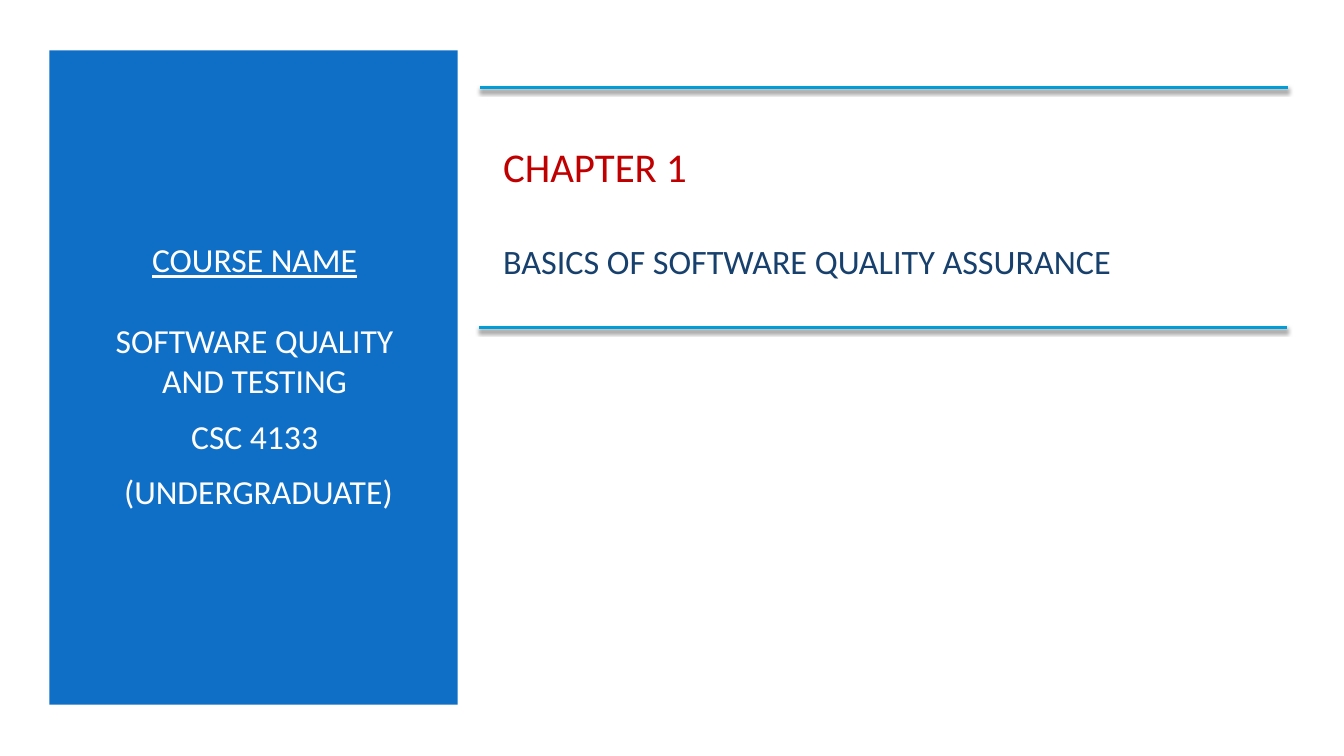
import copy
from dataclasses import dataclass

import pptx
import pptx.dml.color
import pptx.enum.shapes
import pptx.enum.text
import pptx.oxml
import pptx.oxml.ns
import pptx.util

Inches = pptx.util.Inches
Pt = pptx.util.Pt
qn = pptx.oxml.ns.qn
Align = pptx.enum.text.PP_ALIGN


@dataclass(frozen=True)
class Theme:
    font: str = "Calibri"
    white: str = "FFFFFF"
    blue: str = "0F6FC6"
    cyan: str = "009DD9"
    red: str = "C00000"
    navy: str = "17406D"
    course: float = 24
    chapter: float = 29.2
    topic: float = 24.4
    rule: float = 2


SHADOW = (
    '<a:effectLst xmlns:a="http://schemas.openxmlformats.org/drawingml/2006/main">'
    f'<a:outerShdw blurRad="{Pt(3)}" dist="{Pt(2)}" dir="5400000" rotWithShape="0">'
    '<a:srgbClr val="000000"><a:alpha val="55000"/></a:srgbClr>'
    "</a:outerShdw></a:effectLst>"
)


def rgb(code):
    return pptx.dml.color.RGBColor.from_string(code)


class Page:
    def __init__(self, slide, theme):
        self.slide = slide
        self.theme = theme
        fill = slide.background.fill
        fill.solid()
        fill.fore_color.rgb = rgb(theme.white)

    def panel(self, left, top, width, height):
        kind = pptx.enum.shapes.MSO_SHAPE.RECTANGLE
        box = self.slide.shapes.add_shape(
            kind, Inches(left), Inches(top), Inches(width), Inches(height))
        box.shadow.inherit = False
        box.fill.solid()
        box.fill.fore_color.rgb = rgb(self.theme.blue)
        box.line.fill.background()
        # Put the panel behind the placeholders
        self.slide.shapes._spTree.insert(2, box._element)

    def text(self, holder, place, lines, align):
        holder.left, holder.top, holder.width, holder.height = map(Inches, place)
        frame = holder.text_frame
        frame.text = "\n".join(lines)
        frame.word_wrap = True
        frame.auto_size = pptx.enum.text.MSO_AUTO_SIZE.NONE
        frame.vertical_anchor = pptx.enum.text.MSO_ANCHOR.MIDDLE
        for para in frame.paragraphs:
            para.alignment = align
        return frame.paragraphs

    def style(self, run, size, color, under=False):
        font = run.font
        font.name = self.theme.font
        font.size = Pt(size)
        font.color.rgb = rgb(color)
        font.underline = under

    def breaks(self, para):
        # Line breaks take the height of the first run
        look = para.runs[0]._r.rPr
        for mark in para._p.findall(qn("a:br")):
            mark.insert(0, copy.deepcopy(look))

    def rule(self, left, top, width):
        kind = pptx.enum.shapes.MSO_CONNECTOR.STRAIGHT
        line = self.slide.shapes.add_connector(
            kind, Inches(left), Inches(top), Inches(left + width), Inches(top))
        line.line.color.rgb = rgb(self.theme.cyan)
        line.line.width = Pt(self.theme.rule)
        line._element.spPr.append(pptx.oxml.parse_xml(SHADOW))


def main():
    deck = pptx.Presentation()
    deck.slide_width = Inches(13.33)
    deck.slide_height = Inches(7.5)
    theme = Theme()
    page = Page(deck.slides.add_slide(deck.slide_layouts[0]), theme)
    title, body = page.slide.placeholders

    # Course panel
    page.panel(0.49, 0.5, 4.05, 6.49)
    course = ["COURSE NAME\v\vSOFTWARE QUALITY AND TESTING",
              "CSC 4133", " (UNDERGRADUATE)"]
    paras = page.text(body, (0.84, 1.1, 3.37, 5.25), course, Align.CENTER)
    for para in paras:
        para.space_before = Pt(0.2 * theme.course)
        para.space_after = Pt(6)
        for run in para.runs:
            page.style(run, theme.course, theme.white)
    paras[0].runs[0].font.underline = True
    page.breaks(paras[0])

    # Chapter heading
    lines = ["CHAPTER 1\v\vBASICS OF SOFTWARE QUALITY ASSURANCE"]
    head = page.text(title, (4.89, 1.1, 7.85, 2), lines, Align.LEFT)[0]
    chapter, topic = head.runs
    page.style(chapter, theme.chapter, theme.red)
    page.style(topic, theme.topic, theme.navy)
    page.breaks(head)

    # Rules above and below the heading
    for left, top in ((4.76, 0.87), (4.75, 3.25)):
        page.rule(left, top, 8.01)

    deck.save("out.pptx")


if __name__ == "__main__":
    main()
